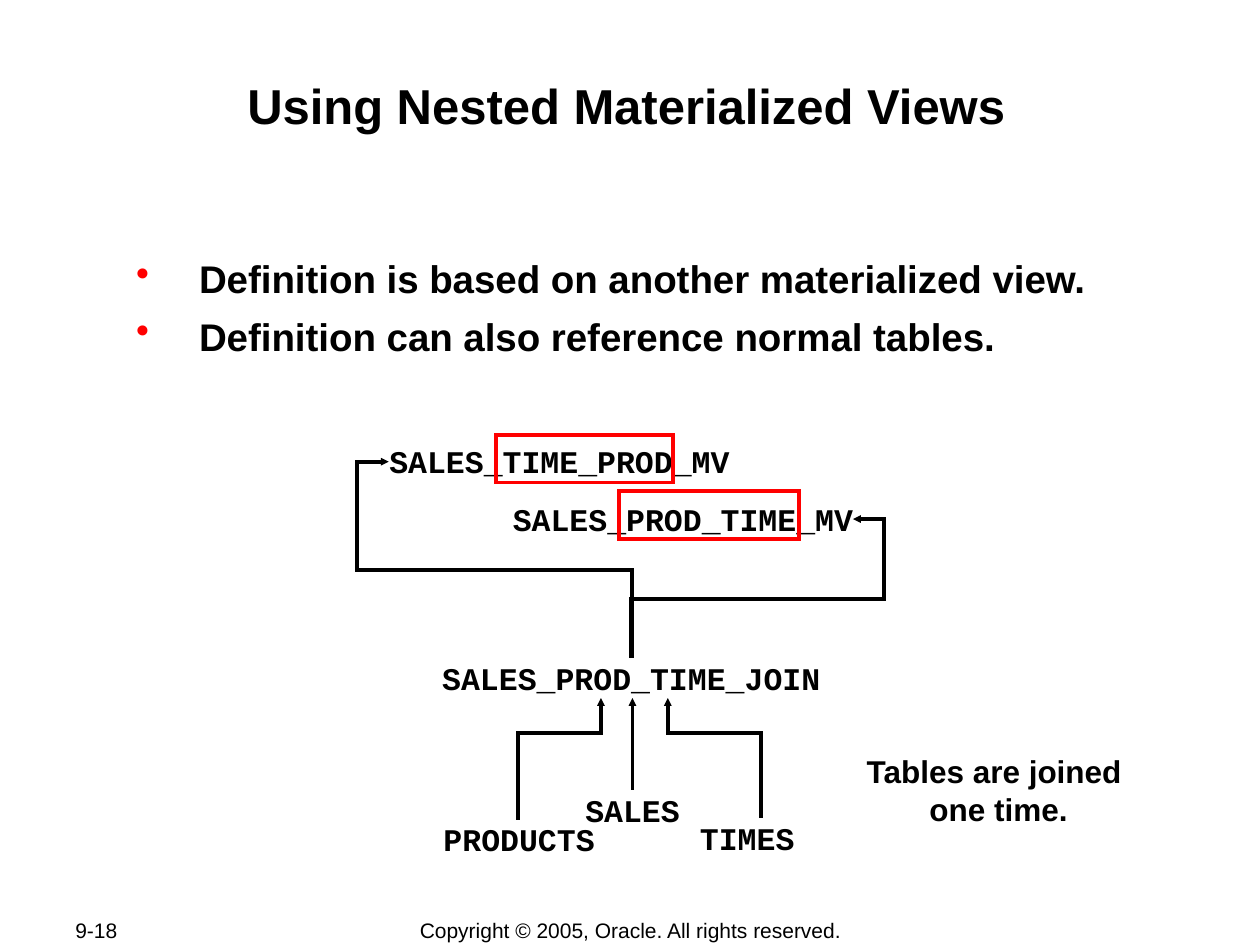
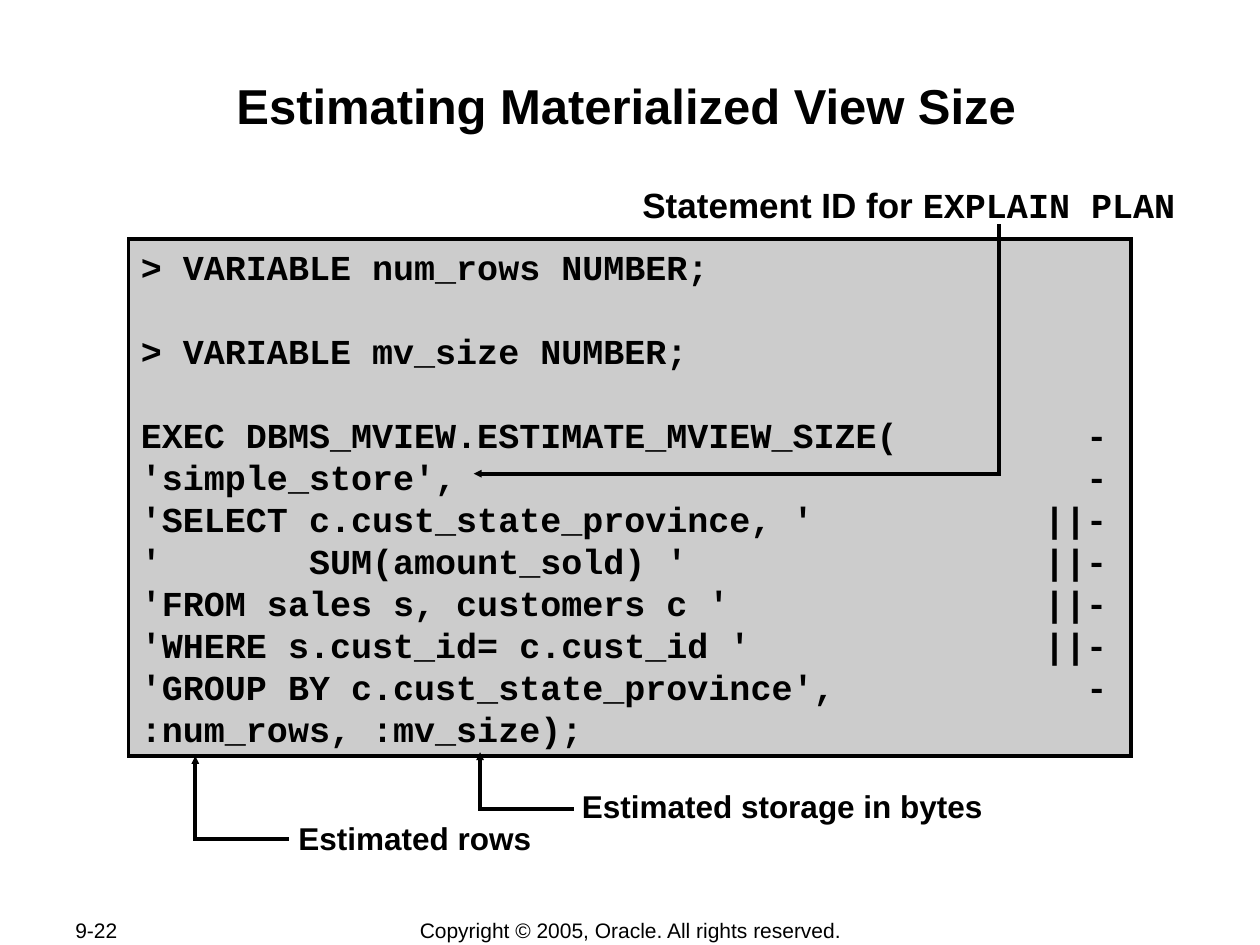
import pptx
import pptx.util
import pptx.dml.color
import pptx.enum.shapes
import pptx.enum.text
import pptx.oxml.ns
from lxml import etree

Inches, Pt = pptx.util.Inches, pptx.util.Pt
RGBColor = pptx.dml.color.RGBColor
ALIGN = pptx.enum.text.PP_ALIGN
ANCHOR = pptx.enum.text.MSO_ANCHOR
CONNECTOR = pptx.enum.shapes.MSO_CONNECTOR
qn = pptx.oxml.ns.qn

BLACK = RGBColor(0, 0, 0)
WHITE = RGBColor(255, 255, 255)
RED = RGBColor(255, 0, 0)
CODE_GRAY = RGBColor(0xCC, 0xCC, 0xCC)

SANS, MONO = "Arial", "Courier New"
LINE_WIDTH = 2.25
LINE_HEIGHT = 1.2  # line pitch as a multiple of the font size
THIN, NORMAL = (0.01, 0.01), (0.1, 0.05)  # side and top insets

COPYRIGHT = "Copyright © 2005, Oracle. All rights reserved."
CODE = [  # (code, continuation mark, blank line above)
    ("> VARIABLE num_rows NUMBER;", "", False),
    ("> VARIABLE mv_size NUMBER;", "", True),
    ("EXEC DBMS_MVIEW.ESTIMATE_MVIEW_SIZE(", "-", True),
    ("'simple_store',", "-", False),
    ("'SELECT c.cust_state_province, '", "||-", False),
    ("'       SUM(amount_sold) '", "||-", False),
    ("'FROM sales s, customers c '", "||-", False),
    ("'WHERE s.cust_id= c.cust_id '", "||-", False),
    ("'GROUP BY c.cust_state_province',", "-", False),
    (":num_rows, :mv_size);", "", False),
]


def fill_text(frame, paragraphs, size=18, font=SANS, bold=True, align=ALIGN.LEFT,
              anchor=ANCHOR.TOP, inset=NORMAL, wrap=True, gaps=(), spacing=None,
              decorate=None):
    """Write paragraphs, each a string or a list of (text, font) runs."""
    frame.word_wrap = wrap
    frame.vertical_anchor = anchor
    frame.margin_left = frame.margin_right = Inches(inset[0])
    frame.margin_top = frame.margin_bottom = Inches(inset[1])
    for index, content in enumerate(paragraphs):
        paragraph = frame.paragraphs[0] if index == 0 else frame.add_paragraph()
        if decorate:
            decorate(paragraph)
        paragraph.alignment = align
        paragraph.line_spacing = spacing or Pt(size * LINE_HEIGHT)
        if index and gaps:
            paragraph.space_before = Pt(gaps[index])
        runs = [(content, font)] if isinstance(content, str) else content
        for words, face in runs:
            run = paragraph.add_run()
            run.text = words
            run.font.name, run.font.size, run.font.bold = face, Pt(size), bold
            run.font.color.rgb = BLACK


def add_text(slide, box, *paragraphs, **style):
    label = slide.shapes.add_textbox(*map(Inches, box))
    fill_text(label.text_frame, paragraphs, **style)


def add_frame(slide, box, color, fill=None):
    frame = slide.shapes.add_shape(
        pptx.enum.shapes.MSO_SHAPE.RECTANGLE, *map(Inches, box))
    frame.shadow.inherit = False
    if fill is None:
        frame.fill.background()
    else:
        frame.fill.solid()
        frame.fill.fore_color.rgb = fill
    frame.line.color.rgb = color
    frame.line.width = Pt(LINE_WIDTH)
    etree.SubElement(frame.line._ln, qn("a:miter"), lim="800000")
    return frame


def add_line(slide, kind, start, end, arrow):
    line = slide.shapes.add_connector(kind, *map(Inches, start + end))
    line.line.color.rgb = BLACK
    line.line.width = Pt(LINE_WIDTH)
    properties = line._element.spPr
    etree.SubElement(properties, qn("a:effectLst"))
    outline = properties.find(qn("a:ln"))
    if kind == CONNECTOR.ELBOW:
        etree.SubElement(outline, qn("a:miter"), lim="800000")
    if arrow:
        etree.SubElement(outline, qn("a:tailEnd"), type="triangle", w="sm", len="sm")
    else:
        outline.set("cap", "sq")  # closes the corner
    return properties


def add_route(slide, origin, points):
    """Join the points with straight lines, ending in an arrowhead."""
    stops = [(origin[0] + x, origin[1] + y) for x, y in points]
    for index, (start, end) in enumerate(zip(stops, stops[1:])):
        add_line(slide, CONNECTOR.STRAIGHT, start, end, arrow=index == len(stops) - 2)


def add_bent_arrow(slide, box, degrees, flips, bends):
    """Draw a connector with three bends, turned and flipped within its box."""
    x, y, width, height = box
    properties = add_line(slide, CONNECTOR.ELBOW, (x, y), (x + width, y + height), True)
    transform = properties.find(qn("a:xfrm"))
    transform.set("rot", str(degrees * 60000))
    for flip in flips:
        transform.set(flip, "1")
    geometry = properties.find(qn("a:prstGeom"))
    geometry.set("prst", "bentConnector4")
    adjustments = geometry.find(qn("a:avLst"))
    if adjustments is None:
        adjustments = etree.SubElement(geometry, qn("a:avLst"))
    for number, percent in enumerate(bends, 1):
        etree.SubElement(adjustments, qn("a:gd"), name=f"adj{number}",
                         fmla=f"val {round(percent * 1000)}")


def red_bullet(paragraph):
    properties = paragraph._p.get_or_add_pPr()
    properties.set("marL", str(Inches(0.63)))
    properties.set("indent", str(Inches(-0.5)))
    color = etree.SubElement(properties, qn("a:buClr"))
    etree.SubElement(color, qn("a:srgbClr"), val=str(RED))
    etree.SubElement(properties, qn("a:buChar"), char="•")


def mark_column(paragraph):
    """Right-align the continuation marks at the end of the code lines."""
    tabs = etree.SubElement(paragraph._p.get_or_add_pPr(), qn("a:tabLst"))
    etree.SubElement(tabs, qn("a:tab"), pos=str(Inches(7.67)), algn="r")


def base_slide(deck, title, number):
    slide = deck.slides.add_slide(deck.slide_layouts[6])
    slide.background.fill.solid()
    slide.background.fill.fore_color.rgb = WHITE
    # Footer
    footer = dict(size=12, bold=False, anchor=ANCHOR.MIDDLE)
    add_text(slide, (0.5, 7.28, 1.06, 0.2), number, **footer)
    add_text(slide, (2.76, 7.28, 4.49, 0.21), COPYRIGHT, align=ALIGN.CENTER,
             wrap=False, **footer)
    # Title
    add_text(slide, (0.97, 0.59, 8, 0.96), title, size=28, align=ALIGN.CENTER, inset=THIN)
    return slide


def view_diagram(slide, box):
    left, top = box[:2]
    # Views and tables: name, centre, top
    for name, center, y in [
        ("PRODUCTS", 1.32, 3.1), ("SALES", 2.22, 2.87), ("TIMES", 3.13, 3.09),
        ("SALES_PROD_TIME_JOIN", 2.21, 1.82),
        ("SALES_TIME_PROD_MV", 1.64, 0.1), ("SALES_PROD_TIME_MV", 2.62, 0.56),
    ]:
        width = len(name) * 0.15 + 0.03
        add_text(slide, (left + center - width / 2, top + y, width, 0.33), name,
                 font=MONO, align=ALIGN.CENTER, inset=THIN, wrap=False)
    # Join to nested views
    add_bent_arrow(slide, (left + 0.47, top + 0.08, 1.56, 1.93), 270, ["flipV"],
                   (44.7, 113))
    add_bent_arrow(slide, (left + 2.54, top + 0.39, 1.1, 1.76), 90, ["flipH", "flipV"],
                   (42.5, 114.2))
    # Tables to join
    table_bend, join_bottom = 2.42, 2.14
    for points in [
        [(1.31, 3.09), (1.31, table_bend), (1.97, table_bend), (1.97, join_bottom)],
        [(3.24, 3.08), (3.24, table_bend), (2.5, table_bend), (2.5, join_bottom)],
        [(2.22, 2.87), (2.22, join_bottom)],
    ]:
        add_route(slide, (left, top), points)
    # Highlights on the differing name parts
    for x, y, width in [(1.14, 0.05, 1.4), (2.11, 0.5, 1.43)]:
        add_frame(slide, (left + x, top + y, width, 0.38), RED)
    # Remark
    add_text(slide, (left + 3.97, top + 2.52, 2.31, 0.7), "Tables are joined ",
             "one time.", align=ALIGN.CENTER, wrap=False)


def code_panel(slide, box):
    left, top = box[:2]
    panel = add_frame(slide, box, BLACK, CODE_GRAY)
    lines = [f"{code}\t{mark}" if mark else code for code, mark, _ in CODE]
    gaps = [24 if blank_above else 0 for _, _, blank_above in CODE]
    fill_text(panel.text_frame, lines, size=20, font=MONO, gaps=gaps,
              decorate=mark_column)
    # Callouts: text, size, place, arrow
    for words, size, (x, y, width), points in [
        ("Estimated rows", 18, (1.25, 4.55, 2.25),
         [(1.26, 4.76), (0.53, 4.76), (0.53, 4.1)]),
        ("Estimated storage in bytes", 18, (3.5, 4.3, 3.6),
         [(3.52, 4.52), (2.79, 4.52), (2.79, 4.07)]),
        ([("Statement ID for ", SANS), ("EXPLAIN PLAN", MONO)], 20, (3.98, -0.49, 4.5),
         [(6.91, -0.11), (6.91, 1.86), (2.74, 1.86)]),
    ]:
        add_text(slide, (left + x, top + y, width, 0.4), words, size=size)
        add_route(slide, (left, top), points)


def nested_views_slide(deck):
    slide = base_slide(deck, "Using Nested Materialized Views", "9-18")
    add_text(slide, (0.94, 1.99, 8.06, 0.84),
             "Definition is based on another materialized view.",
             "Definition can also reference normal tables.",
             size=22, inset=(0.01, 0.02), gaps=(0, 5.5), spacing=1.04,
             decorate=red_bullet)
    view_diagram(slide, (2.8, 3.4, 6.28, 3.43))


def view_size_slide(deck):
    slide = base_slide(deck, "Estimating Materialized View Size", "9-22")
    code_panel(slide, (1.02, 1.9, 7.96, 4.1))


def main():
    deck = pptx.Presentation()
    deck.slide_width, deck.slide_height = Inches(10), Inches(7.5)
    nested_views_slide(deck)
    view_size_slide(deck)
    deck.save("out.pptx")


if __name__ == "__main__":
    main()
